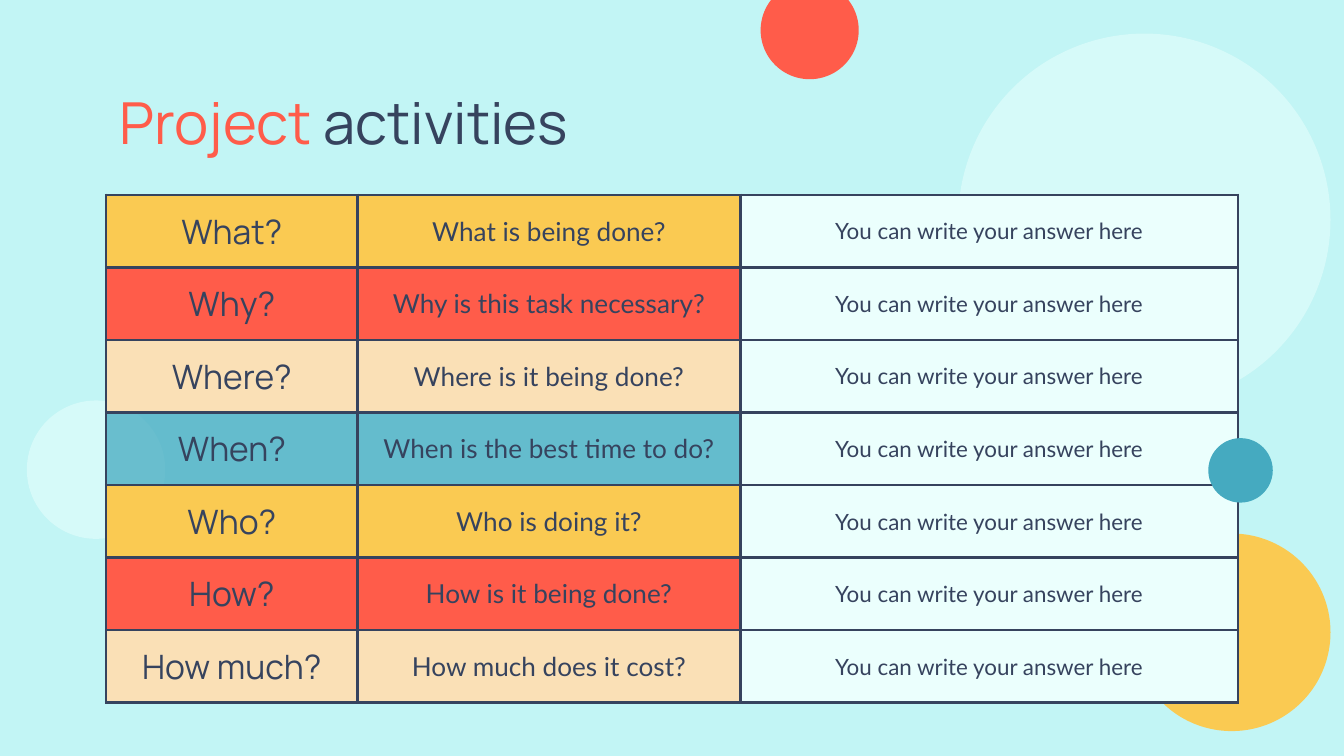
"""Build the project activities slide: a question table among coloured circles."""
from dataclasses import dataclass
from typing import Any

import lxml.etree
import pptx
import pptx.dml.color
import pptx.enum.shapes
import pptx.enum.text
import pptx.oxml.ns
import pptx.util

SKY = pptx.dml.color.RGBColor(0xC2, 0xF5, 0xF5)
MINT = pptx.dml.color.RGBColor(0xEB, 0xFF, 0xFD)
CORAL = pptx.dml.color.RGBColor(0xFF, 0x5C, 0x4A)
YELLOW = pptx.dml.color.RGBColor(0xFA, 0xCA, 0x52)
PEACH = pptx.dml.color.RGBColor(0xFA, 0xE0, 0xB6)
TEAL = pptx.dml.color.RGBColor(0x45, 0xAA, 0xC0)
NAVY = pptx.dml.color.RGBColor(0x36, 0x43, 0x5E)

SLIDE_WIDTH = 10
SLIDE_HEIGHT = SLIDE_WIDTH * 9 / 16
LEFT, WIDTH = 0.79, 8.43
TABLE_TOP, ROW_HEIGHT = 1.45, 0.54
COLUMN_WIDTHS = (1.87, 2.85, 3.7)
BORDER_WIDTH = 1.5
ANSWER = "You can write your answer here"

TITLE_FONT = {"name": "Manrope", "size": pptx.util.Pt(31)}
COLUMN_FONTS = (
    {"name": "Manrope", "size": pptx.util.Pt(18)},
    {"name": "Lato", "size": pptx.util.Pt(14)},
    {"name": "Lato", "size": pptx.util.Pt(12)},
)
MARGINS = dict.fromkeys(
    ("margin_left", "margin_top", "margin_right", "margin_bottom"), pptx.util.Inches(0.1)
)
CELL_FORMAT = {**MARGINS, "vertical_anchor": pptx.enum.text.MSO_ANCHOR.MIDDLE}
TITLE_FORMAT = {**CELL_FORMAT, "word_wrap": True}
TABLE_FORMAT = {"first_row": False, "horz_banding": False}


@dataclass(frozen=True)
class Circle:
    left: float
    top: float
    diameter: float
    color: pptx.dml.color.RGBColor
    opacity: int = 100


@dataclass(frozen=True)
class Activity:
    keyword: str
    question: str
    color: pptx.dml.color.RGBColor
    opacity: int = 100


BACK_CIRCLES = (
    Circle(0.2, 2.98, 1.03, MINT, 50),
    Circle(7.13, 0.25, 2.77, MINT, 50),
    Circle(5.66, -0.14, 0.73, CORAL),
    Circle(8.43, 3.97, 1.47, YELLOW),
)
FRONT_CIRCLE = Circle(8.99, 3.26, 0.48, TEAL)
ACTIVITIES = (
    Activity("What?", "What is being done?", YELLOW),
    Activity("Why?", "Why is this task necessary?", CORAL),
    Activity("Where?", "Where is it being done?", PEACH),
    Activity("When?", "When is the best time to do?", TEAL, 75),
    Activity("Who?", "Who is doing it?", YELLOW),
    Activity("How?", "How is it being done?", CORAL),
    Activity("How much?", "How much does it cost?", PEACH),
)


def apply_format(target: Any, values: dict[str, Any]) -> None:
    for attribute, value in values.items():
        setattr(target, attribute, value)


def add_child(parent: Any, tag: str, **attributes: str) -> Any:
    return lxml.etree.SubElement(parent, pptx.oxml.ns.qn(tag), attributes)


def paint(fill: Any, properties: Any, color: pptx.dml.color.RGBColor, opacity: int) -> None:
    fill.solid()
    fill.fore_color.rgb = color
    if opacity < 100:
        srgb = properties.find(pptx.oxml.ns.qn("a:solidFill"))[0]
        add_child(srgb, "a:alpha", val=str(opacity * 1000))


def add_run(paragraph: Any, text: str, font: dict[str, Any],
            color: pptx.dml.color.RGBColor) -> None:
    run = paragraph.add_run()
    run.text = text
    apply_format(run.font, font)
    run.font.color.rgb = color


def draw_circle(slide: Any, circle: Circle) -> None:
    diameter = pptx.util.Inches(circle.diameter)
    disc = slide.shapes.add_shape(
        pptx.enum.shapes.MSO_SHAPE.OVAL,
        pptx.util.Inches(circle.left), pptx.util.Inches(circle.top), diameter, diameter,
    )
    disc.shadow.inherit = False
    disc.line.fill.background()
    paint(disc.fill, disc._element.spPr, circle.color, circle.opacity)


def draw_title(slide: Any) -> None:
    title = slide.shapes.add_textbox(
        pptx.util.Inches(LEFT), pptx.util.Inches(0.59),
        pptx.util.Inches(WIDTH), pptx.util.Inches(0.62),
    ).text_frame
    apply_format(title, TITLE_FORMAT)
    add_run(title.paragraphs[0], "Project", TITLE_FONT, CORAL)
    add_run(title.paragraphs[0], " activities", TITLE_FONT, NAVY)


def add_borders(properties: Any) -> None:
    for position, side in enumerate(("a:lnL", "a:lnR", "a:lnT", "a:lnB")):
        border = add_child(properties, side, w=str(pptx.util.Pt(BORDER_WIDTH)))
        add_child(add_child(border, "a:solidFill"), "a:srgbClr", val=str(NAVY))
        properties.insert(position, border)


def fill_cell(cell: Any, text: str, font: dict[str, Any],
              color: pptx.dml.color.RGBColor, opacity: int) -> None:
    apply_format(cell, CELL_FORMAT)
    properties = cell._tc.get_or_add_tcPr()
    paint(cell.fill, properties, color, opacity)
    add_borders(properties)
    paragraph = cell.text_frame.paragraphs[0]
    paragraph.alignment = pptx.enum.text.PP_ALIGN.CENTER
    add_run(paragraph, text, font, NAVY)


def draw_activities(slide: Any) -> None:
    activities = slide.shapes.add_table(
        len(ACTIVITIES), len(COLUMN_WIDTHS),
        pptx.util.Inches(LEFT), pptx.util.Inches(TABLE_TOP),
        pptx.util.Inches(WIDTH), pptx.util.Inches(ROW_HEIGHT * len(ACTIVITIES)),
    ).table
    apply_format(activities, TABLE_FORMAT)
    for column, width in zip(activities.columns, COLUMN_WIDTHS):
        column.width = pptx.util.Inches(width)
    for row, activity in zip(activities.rows, ACTIVITIES):
        row.height = pptx.util.Inches(ROW_HEIGHT)
        contents = (
            (activity.keyword, activity.color, activity.opacity),
            (activity.question, activity.color, activity.opacity),
            (ANSWER, MINT, 100),
        )
        for cell, font, (text, color, opacity) in zip(row.cells, COLUMN_FONTS, contents):
            fill_cell(cell, text, font, color, opacity)


def main() -> None:
    presentation = pptx.Presentation()
    presentation.slide_width = pptx.util.Inches(SLIDE_WIDTH)
    presentation.slide_height = pptx.util.Inches(SLIDE_HEIGHT)
    slide = presentation.slides.add_slide(presentation.slide_layouts[6])
    slide.background.fill.solid()
    slide.background.fill.fore_color.rgb = SKY
    for circle in BACK_CIRCLES:
        draw_circle(slide, circle)
    draw_title(slide)
    draw_activities(slide)
    draw_circle(slide, FRONT_CIRCLE)
    presentation.save("out.pptx")


if __name__ == "__main__":
    main()
